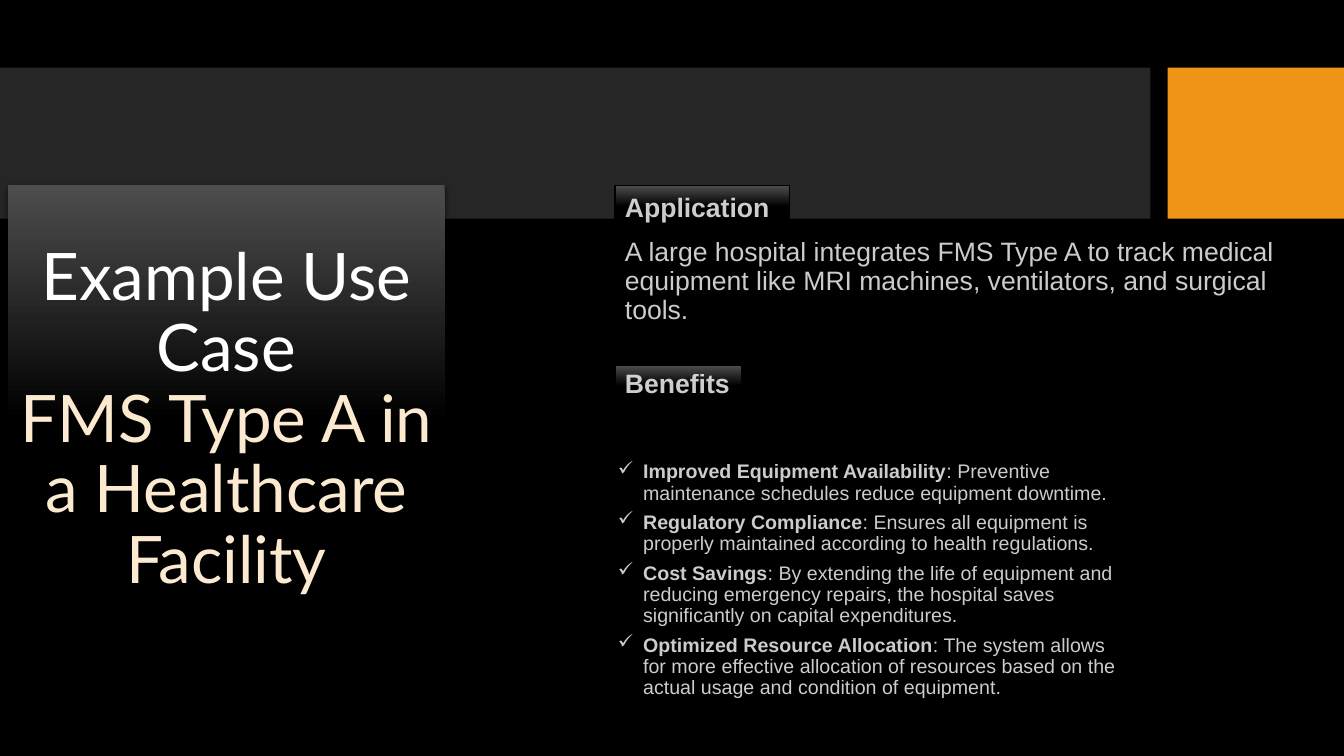
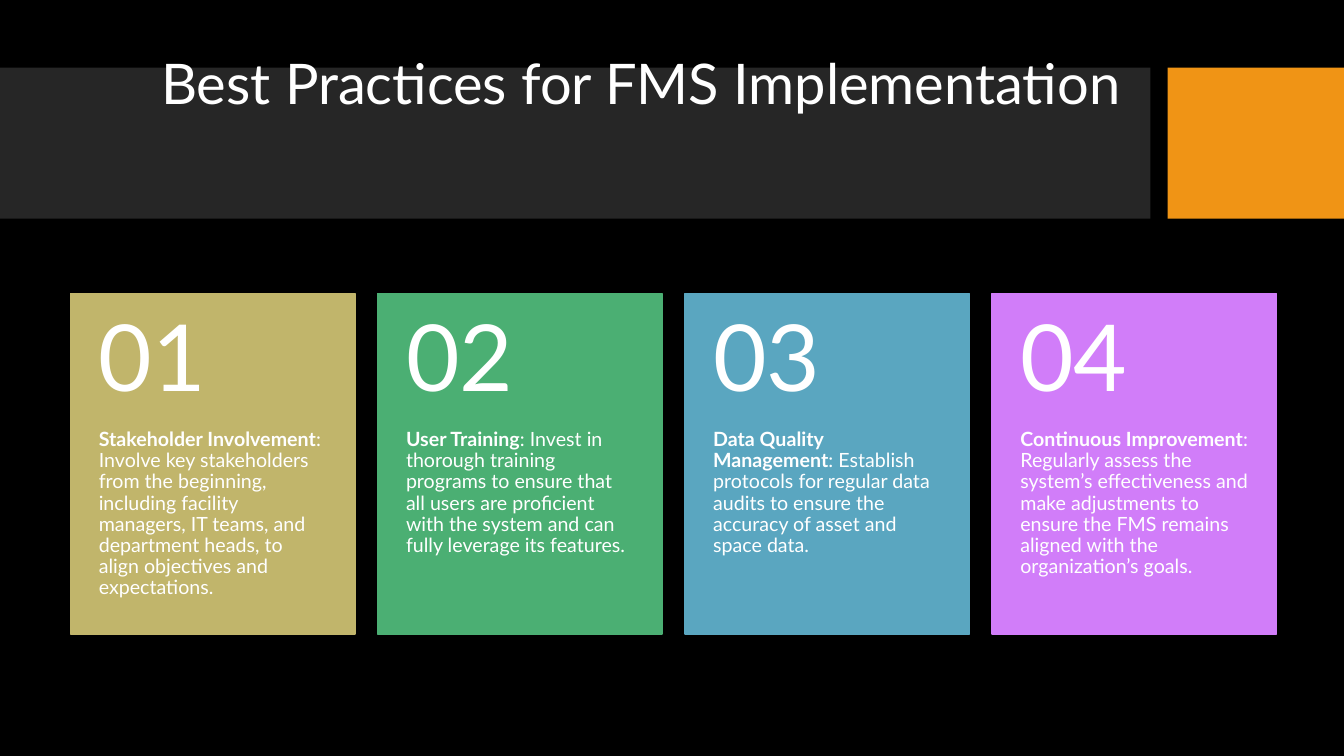
from lxml import etree
from pptx import Presentation
from pptx.dml.color import RGBColor
from pptx.enum.shapes import MSO_SHAPE
from pptx.enum.text import MSO_ANCHOR, MSO_AUTO_SIZE, PP_ALIGN
from pptx.oxml.ns import qn
from pptx.util import Inches, Pt

RECTANGLE = MSO_SHAPE.RECTANGLE
TOP, MIDDLE = MSO_ANCHOR.TOP, MSO_ANCHOR.MIDDLE
LEFT, CENTER = PP_ALIGN.LEFT, PP_ALIGN.CENTER
FIT_SHAPE = MSO_AUTO_SIZE.SHAPE_TO_FIT_TEXT

SLIDE_W, SLIDE_H = 13.33, 7.5
BLACK, WHITE, CREAM = "000000", "FFFFFF", "FCEAD0"
BAND, ACCENT, GLOW = "262626", "F09415", "4D4D4D"
TITLE_FONT, BODY_FONT = "Lato", "Arial"
BODY_OPACITY = 80
DEFAULT_INSETS = (0.1, 0.05, 0.1, 0.05)

BENEFITS = [
    ("Improved Equipment Availability",
     ": Preventive maintenance schedules reduce equipment downtime."),
    ("Regulatory Compliance",
     ": Ensures all equipment is properly maintained according to health regulations."),
    ("Cost Savings",
     ": By extending the life of equipment and reducing emergency repairs, "
     "the hospital saves significantly on capital expenditures."),
    ("Optimized Resource Allocation",
     ": The system allows for more effective allocation of resources based on "
     "the actual usage and condition of equipment."),
]
PRACTICES = [
    ("C1B56B", "Stakeholder Involvement",
     ": Involve key stakeholders from the beginning, including facility managers, "
     "IT teams, and department heads, to align objectives and expectations."),
    ("4BAF73", "User Training",
     ": Invest in thorough training programs to ensure that all users are "
     "proficient with the system and can fully leverage its features."),
    ("5AA6C0", "Data Quality Management",
     ": Establish protocols for regular data audits to ensure the accuracy of "
     "asset and space data."),
    ("D17DF9", "Continuous Improvement",
     ": Regularly assess the system’s effectiveness and make adjustments to "
     "ensure the FMS remains aligned with the organization’s goals."),
]


def color(value):
    return RGBColor.from_string(value)


def add_rect(shapes, box, fill=None, line=None, line_width=1):
    rect = shapes.add_shape(RECTANGLE, *map(Inches, box))
    rect.shadow.inherit = False
    if fill:
        rect.fill.solid()
        rect.fill.fore_color.rgb = color(fill)
    else:
        fade_to_black(rect.fill)
    if line:
        rect.line.color.rgb = color(line)
        rect.line.width = Pt(line_width)
    else:
        rect.line.fill.background()
    return rect


def fade_to_black(fill):
    fill.gradient()
    fill.gradient_angle = 270
    for stop, (position, shade) in zip(fill.gradient_stops, [(0, GLOW), (0.5, BLACK)]):
        stop.position = position
        stop.color.rgb = color(shade)


def add_soft_shadow(shape):
    effects = shape._element.spPr.find(qn("a:effectLst"))
    shadow = etree.SubElement(effects, qn("a:outerShdw"), blurRad=str(Pt(4.5)),
                              dist=str(Pt(1.5)), dir="5400000", rotWithShape="0")
    shade = etree.SubElement(shadow, qn("a:srgbClr"), val=BLACK)
    etree.SubElement(shade, qn("a:alpha"), val="63000")


def set_frame(shape, anchor=TOP, insets=DEFAULT_INSETS, wrap=True):
    frame = shape.text_frame
    frame.word_wrap = wrap
    frame.vertical_anchor = anchor
    (frame.margin_left, frame.margin_top,
     frame.margin_right, frame.margin_bottom) = map(Inches, insets)
    return frame


def add_text_frame(shapes, box, **settings):
    return set_frame(shapes.add_textbox(*map(Inches, box)), **settings)


def style_paragraph(paragraph, align=LEFT, spacing=0.9, after=0):
    paragraph.alignment = align
    paragraph.line_spacing = spacing
    paragraph.space_after = Pt(after)
    return paragraph


def add_run(paragraph, text, size, font, shade=WHITE, bold=False, opacity=100):
    run = paragraph.add_run()
    run.text = text
    run.font.size = Pt(size)
    run.font.name = font
    run.font.bold = bold
    run.font.color.rgb = color(shade)
    if opacity < 100:
        shade_element = run.font._element.find(".//" + qn("a:srgbClr"))
        etree.SubElement(shade_element, qn("a:alpha"), val=str(opacity * 1000))


def add_body_run(paragraph, text, size, bold=False):
    add_run(paragraph, text, size, BODY_FONT, bold=bold, opacity=BODY_OPACITY)


def add_check_bullet(paragraph):
    properties = paragraph._p.get_or_add_pPr()
    properties.set("marL", str(Inches(0.25)))
    properties.set("indent", str(-Inches(0.25)))
    etree.SubElement(properties, qn("a:buChar"), char="✓")


def add_base_slide(deck):
    slide = deck.slides.add_slide(deck.slide_layouts[6])
    slide.background.fill.solid()
    slide.background.fill.fore_color.rgb = color(BLACK)
    add_rect(slide.shapes, (0, 0.67, 11.41, 1.5), BAND)
    add_rect(slide.shapes, (11.58, 0.67, 1.75, 1.5), ACCENT)
    return slide.shapes


def add_title_panel(shapes, box):
    panel = add_rect(shapes, box)
    add_soft_shadow(panel)
    title = style_paragraph(set_frame(panel, MIDDLE).paragraphs[0], CENTER)
    add_run(title, "Example Use Case", 46.8, TITLE_FONT)
    title.add_line_break()
    add_run(title, "FMS Type A in a Healthcare Facility", 46.8, TITLE_FONT, CREAM)


def add_heading(shapes, box, text, spacing):
    heading = add_rect(shapes, box, line=BLACK, line_width=0.75)
    frame = set_frame(heading, wrap=False)
    frame.auto_size = FIT_SHAPE
    add_body_run(style_paragraph(frame.paragraphs[0], spacing=spacing), text, 19, True)


def add_benefit_list(shapes, box):
    frame = add_text_frame(shapes, box, anchor=MIDDLE)
    for index, (benefit, detail) in enumerate(BENEFITS):
        paragraph = frame.add_paragraph() if index else frame.paragraphs[0]
        style_paragraph(paragraph, after=6)
        add_check_bullet(paragraph)
        add_body_run(paragraph, benefit, 14, True)
        add_body_run(paragraph, detail, 14)


def add_use_case_slide(deck):
    shapes = add_base_slide(deck)
    add_title_panel(shapes, (0.08, 1.84, 4.33, 4.67))
    add_benefit_list(shapes, (6.03, 4.2, 5.22, 3.12))
    application = add_text_frame(shapes, (6.1, 2.32, 6.67, 0.96))
    add_body_run(style_paragraph(application.paragraphs[0]),
                 "A large hospital integrates FMS Type A to track medical equipment "
                 "like MRI machines, ventilators, and surgical tools.", 19)
    add_heading(shapes, (6.1, 1.84, 1.73, 0.42), "Application", 1.0)
    add_heading(shapes, (6.1, 3.63, 1.26, 0.39), "Benefits", 0.9)


def add_practice_card(shapes, box, number, fill, practice, detail):
    left, top, width, height = box
    number_height = height * 0.4
    card = shapes.add_group_shape().shapes
    add_rect(card, box, fill, fill)
    description = add_text_frame(
        card, (left, top + number_height, width, height - number_height),
        insets=(0.28, 0, 0.28, 0.36))
    paragraph = style_paragraph(description.paragraphs[0])
    add_run(paragraph, practice, 14, TITLE_FONT, bold=True)
    add_run(paragraph, detail, 14, TITLE_FONT)
    numeral = add_text_frame(card, (left, top, width, number_height), anchor=MIDDLE,
                             insets=(0.28, 0.18, 0.28, 0.18))
    add_run(style_paragraph(numeral.paragraphs[0]), f"{number:02d}", 66, TITLE_FONT)


def add_card_row(shapes, box, card_width):
    left, top, width, height = box
    pitch = (width - card_width) / (len(PRACTICES) - 1)
    for index, practice in enumerate(PRACTICES):
        add_practice_card(shapes, (left + index * pitch, top, card_width, height),
                          index + 1, *practice)


def add_best_practices_slide(deck):
    shapes = add_base_slide(deck)
    title = add_text_frame(shapes, (1.5, 0.38, 10.98, 0.96), anchor=MIDDLE)
    add_run(style_paragraph(title.paragraphs[0]),
            "Best Practices for FMS Implementation", 40, TITLE_FONT)
    add_card_row(shapes, (0.7, 2.91, 11.96, 3.38), 2.82)


def main():
    deck = Presentation()
    deck.slide_width, deck.slide_height = Inches(SLIDE_W), Inches(SLIDE_H)
    add_use_case_slide(deck)
    add_best_practices_slide(deck)
    deck.save("out.pptx")


if __name__ == "__main__":
    main()
